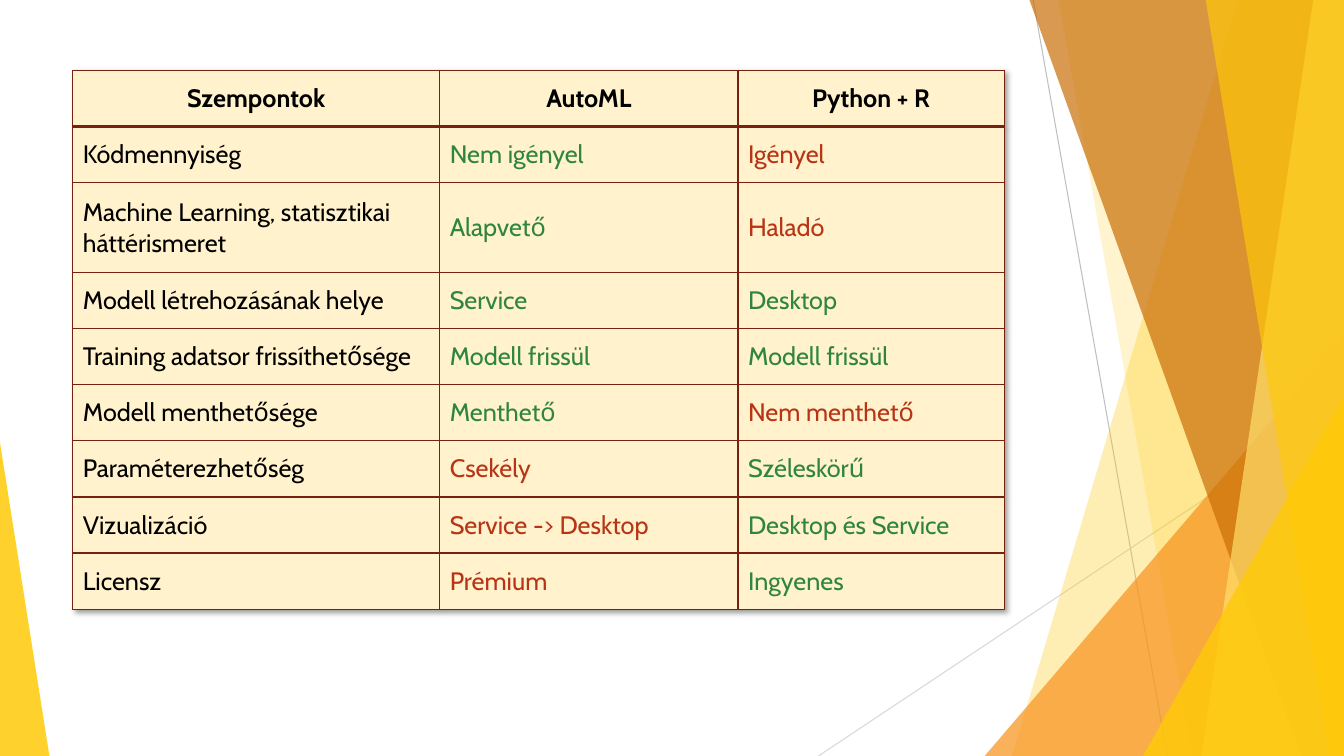
"""Build a slide comparing AutoML with Python and R in a table beside coloured facets."""
import dataclasses
import typing

import lxml.etree
import pptx
import pptx.dml.color
import pptx.enum.shapes
import pptx.enum.text
import pptx.oxml
import pptx.oxml.ns
import pptx.util

Pt = pptx.util.Pt
WIDE, HIGH = 960, 540
EDGE = -0.7
FONT = "Cabin"
BLACK, GREEN, RED = "000000", "2F853F", "B73415"
CREAM, BROWN, GOLD = "FFF2CC", "77220E", "FFCA08"


@dataclasses.dataclass
class Ray:
    start: tuple[float, float]
    end: tuple[float, float]
    color: str


@dataclasses.dataclass
class Band:
    top: float
    base: float
    color: str
    alpha: int


@dataclasses.dataclass
class Wedge:
    left: float
    top: float
    width: float
    peak: int
    color: str
    alpha: int


@dataclasses.dataclass
class Entry:
    label: str
    auto: str
    code: str
    auto_good: bool
    code_good: bool


RAYS = [
    Ray((738, 0), (833.8, HIGH), "BFBFBF"),
    Ray((WIDE, 290.2), (584.6, HIGH), "D8D8D8"),
]
FACETS = [
    Band(884.2, 722.9, GOLD, 30),
    Band(756, 851.8, GOLD, 20),
    Wedge(703.4, 239.8, 256.6, 1, "F8931D", 72),
    Band(735.1, 929.5, "C96F06", 70),
    Band(938.2, 858.2, "FFDE6A", 70),
    Band(861.1, 949, GOLD, 65),
    Wedge(816.5, 283, 143.5, 1, GOLD, 80),
    Wedge(0, 316.1, 35.3, 0, GOLD, 85),
]
HEADS = ["Szempontok", "AutoML", "Python + R"]
ENTRIES = [
    Entry("Kódmennyiség", "Nem igényel", "Igényel", True, False),
    Entry("Machine Learning, statisztikai háttérismeret", "Alapvető", "Haladó", True, False),
    Entry("Modell létrehozásának helye", "Service", "Desktop", True, True),
    Entry("Training adatsor frissíthetősége", "Modell frissül", "Modell frissül", True, True),
    Entry("Modell menthetősége", "Menthető", "Nem menthető", True, False),
    Entry("Paraméterezhetőség", "Csekély", "Széleskörű", False, True),
    Entry("Vizualizáció", "Service -> Desktop", "Desktop és Service", False, True),
    Entry("Licensz", "Prémium", "Ingyenes", False, True),
]
COLS = [262.1, 213.1, 190.1]
ROW, TALL = 40.1, 64.1


def rgb(code: str) -> pptx.dml.color.RGBColor:
    return pptx.dml.color.RGBColor.from_string(code)


def add(parent: typing.Any, tag: str, **attrs: str) -> typing.Any:
    return lxml.etree.SubElement(parent, pptx.oxml.ns.qn(tag), attrs)


def paint(shape: typing.Any, color: str, alpha: int) -> None:
    shape.shadow.inherit = False
    shape.line.fill.background()
    shape.fill.solid()
    shape.fill.fore_color.rgb = rgb(color)
    tint = shape.fill._xPr.find(".//" + pptx.oxml.ns.qn("a:srgbClr"))
    add(tint, "a:alpha", val=str(alpha * 1000))


def draw_ray(shapes: typing.Any, ray: Ray) -> None:
    line = shapes.add_connector(
        pptx.enum.shapes.MSO_CONNECTOR.STRAIGHT, *map(Pt, ray.start + ray.end))
    line.line.color.rgb = rgb(ray.color)
    line.line.width = Pt(0.75)
    add(line._element.spPr, "a:effectLst")


def draw_band(shapes: typing.Any, band: Band) -> None:
    form = shapes.build_freeform(Pt(band.top), Pt(EDGE))
    spots = [(WIDE, EDGE), (WIDE, HIGH), (band.base, HIGH)]
    form.add_line_segments([(Pt(x), Pt(y)) for x, y in spots], close=True)
    paint(form.convert_to_shape(), band.color, band.alpha)


def draw_wedge(shapes: typing.Any, wedge: Wedge) -> None:
    shape = shapes.add_shape(
        pptx.enum.shapes.MSO_SHAPE.ISOSCELES_TRIANGLE,
        Pt(wedge.left), Pt(wedge.top), Pt(wedge.width), Pt(HIGH - wedge.top))
    shape.adjustments[0] = wedge.peak
    paint(shape, wedge.color, wedge.alpha)


def frame(cell: typing.Any, top: float, base: float) -> None:
    props = cell._tc.get_or_add_tcPr()
    sides = [("L", 1), ("R", 1), ("T", top), ("B", base)]
    for spot, (side, width) in enumerate(sides):
        line = pptx.oxml.parse_xml(
            f'<a:ln{side} {pptx.oxml.ns.nsdecls("a")} w="{Pt(width)}"><a:solidFill>'
            f'<a:srgbClr val="{BROWN}"/></a:solidFill></a:ln{side}>')
        props.insert(spot, line)


def fill_cell(cell: typing.Any, text: str, color: str, head: bool) -> None:
    cell.fill.solid()
    cell.fill.fore_color.rgb = rgb(CREAM)
    cell.vertical_anchor = pptx.enum.text.MSO_ANCHOR.MIDDLE
    cell.margin_left = cell.margin_right = Pt(7.2)
    cell.margin_top = cell.margin_bottom = Pt(7.2)
    cell.text_frame.text = text
    para = cell.text_frame.paragraphs[0]
    align = pptx.enum.text.PP_ALIGN
    para.alignment = align.CENTER if head else align.LEFT
    font = para.runs[0].font
    font.name, font.size, font.bold = FONT, Pt(18), head
    font.color.rgb = rgb(color)


def cast_shade(table: typing.Any) -> None:
    shade = pptx.oxml.parse_xml(
        f'<a:effectLst {pptx.oxml.ns.nsdecls("a")}>'
        f'<a:outerShdw blurRad="{Pt(4)}" dist="{Pt(3)}" dir="2700000" algn="tl">'
        '<a:srgbClr val="000000"><a:alpha val="40000"/></a:srgbClr>'
        '</a:outerShdw></a:effectLst>')
    table._tbl.tblPr.insert(0, shade)


def draw_table(shapes: typing.Any) -> None:
    heights = [ROW, ROW, TALL] + [ROW] * (len(ENTRIES) - 2)
    table = shapes.add_table(
        len(heights), len(COLS), Pt(52), Pt(50.4), Pt(sum(COLS)), Pt(sum(heights))).table
    table.first_row = table.horz_banding = False
    cast_shade(table)
    for col, width in zip(table.columns, COLS):
        col.width = Pt(width)
    for row, height in zip(table.rows, heights):
        row.height = Pt(height)
    tone = {True: GREEN, False: RED}
    grid = [[(text, BLACK) for text in HEADS]]
    for item in ENTRIES:
        grid.append([(item.label, BLACK), (item.auto, tone[item.auto_good]),
                     (item.code, tone[item.code_good])])
    for r, line in enumerate(grid):
        for c, (text, color) in enumerate(line):
            cell = table.cell(r, c)
            fill_cell(cell, text, color, r == 0)
            frame(cell, 2.25 if r == 1 else 1, 2.25 if r == 0 else 1)


def main() -> None:
    deck = pptx.Presentation()
    deck.slide_width, deck.slide_height = Pt(WIDE), Pt(HIGH)
    shapes = deck.slides.add_slide(deck.slide_layouts[6]).shapes
    for ray in RAYS:
        draw_ray(shapes, ray)
    for facet in FACETS:
        if isinstance(facet, Band):
            draw_band(shapes, facet)
        else:
            draw_wedge(shapes, facet)
    draw_table(shapes)
    deck.save("out.pptx")


if __name__ == "__main__":
    main()
